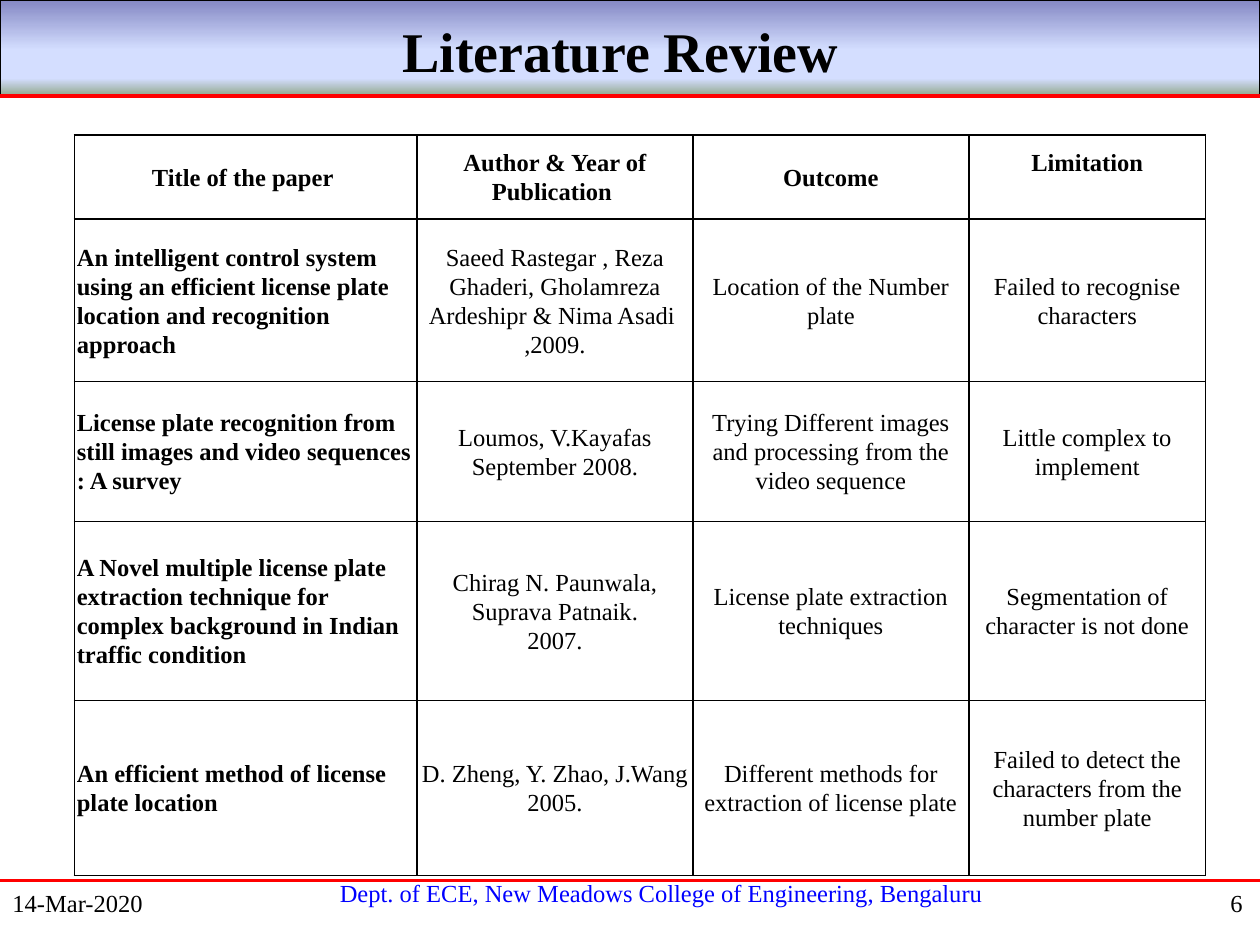
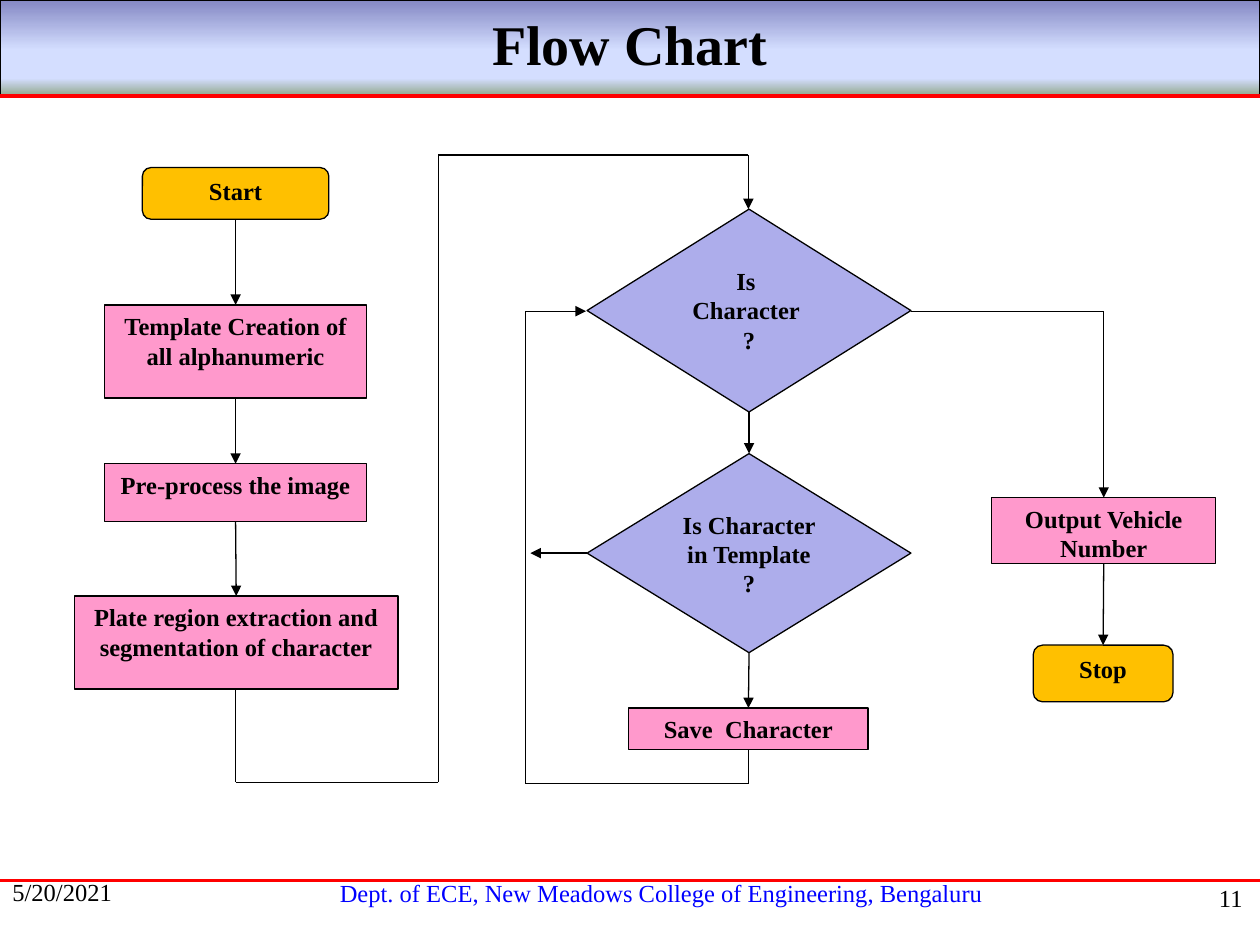
"""Builds a literature review table and a character recognition flow chart."""
from copy import deepcopy
from itertools import pairwise

from lxml.etree import SubElement
from pptx import Presentation
from pptx.dml.color import RGBColor
from pptx.enum.shapes import MSO_CONNECTOR, MSO_SHAPE
from pptx.enum.text import MSO_ANCHOR, PP_ALIGN
from pptx.oxml.ns import qn
from pptx.util import Inches, Pt

FONT = "Times New Roman"
BLACK = RGBColor(0x00, 0x00, 0x00)
WHITE = RGBColor(0xFF, 0xFF, 0xFF)
RED = RGBColor(0xFF, 0x00, 0x00)
BLUE = RGBColor(0x00, 0x00, 0xFF)
AMBER = RGBColor(0xFF, 0xC0, 0x00)
PINK = RGBColor(0xFF, 0x99, 0xCC)
LAVENDER = RGBColor(0xAD, 0xAD, 0xEB)
BAND_STOPS = [
    (0, RGBColor(0x84, 0x88, 0xC4)),
    (0.53, RGBColor(0xD4, 0xDE, 0xFF)),
    (0.83, RGBColor(0xD4, 0xDE, 0xFF)),
    (1, RGBColor(0x96, 0xAB, 0x94)),
]
FOOTER = "Dept. of ECE, New Meadows College of Engineering, Bengaluru"

COLUMN_WIDTHS = [2.72, 2.19, 2.19, 1.88]
ROW_HEIGHTS = [0.67, 1.29, 1.11, 1.42, 1.39]
PAPERS = [
    ["Title of the paper ", "Author & Year of Publication ", "Outcome", "Limitation"],
    ["An intelligent control system using an efficient license plate location and recognition approach",
     "Saeed Rastegar , Reza Ghaderi, Gholamreza Ardeshipr & Nima Asadi  ,2009.",
     "Location of the Number plate", "Failed to recognise characters"],
    ["License plate recognition from still images and video sequences : A survey",
     "Loumos, V.Kayafas\nSeptember 2008.",
     "Trying Different images and processing from the video sequence",
     "Little complex to implement"],
    ["A Novel multiple license plate extraction technique for complex background in Indian traffic condition",
     "Chirag N. Paunwala, Suprava Patnaik.\n2007.",
     "License plate extraction techniques", "Segmentation of character is not done"],
    ["An efficient method of license plate location",
     "D. Zheng, Y. Zhao, J.Wang\n2005.",
     "Different methods for extraction of license plate",
     "Failed to detect the characters from the number plate"],
]

TERMINAL = (MSO_SHAPE.ROUNDED_RECTANGLE, AMBER)
PROCESS = (MSO_SHAPE.RECTANGLE, PINK)
DECISION = (MSO_SHAPE.DIAMOND, LAVENDER)
STEPS = {
    "start": (TERMINAL, (1.13, 1.33, 1.48, 0.41), "Start"),
    "template": (PROCESS, (0.83, 2.42, 2.08, 0.74), "Template Creation of all alphanumeric"),
    "preprocess": (PROCESS, (0.83, 3.68, 2.08, 0.46), "Pre-process the image"),
    "extract": (PROCESS, (0.59, 4.73, 2.57, 0.74), "Plate region extraction and segmentation of character"),
    "is_character": (DECISION, (4.66, 1.66, 2.57, 1.61), "Is \nCharacter \n?"),
    "in_template": (DECISION, (4.66, 3.6, 2.57, 1.58), "Is Character in Template\n?"),
    "save": (PROCESS, (4.99, 5.62, 1.9, 0.33), "Save  Character"),
    "output": (PROCESS, (7.87, 3.95, 1.78, 0.52), "Output Vehicle Number"),
    "stop": (TERMINAL, (8.2, 5.12, 1.11, 0.45), "Stop"),
}
DOWNWARD_LINKS = [
    ("start", "template"), ("template", "preprocess"), ("preprocess", "extract"),
    ("is_character", "in_template"), ("in_template", "save"), ("output", "stop"),
]
ROUTES = [
    [(1.87, 5.47), (1.87, 6.21), (3.48, 6.21), (3.48, 1.23), (5.94, 1.23), (5.94, 1.66)],
    [(5.94, 5.95), (5.94, 6.22), (4.17, 6.22), (4.17, 2.47), (4.65, 2.47)],
    [(4.66, 4.39), (4.21, 4.39)],
    [(7.23, 2.47), (8.76, 2.47), (8.76, 3.95)],
]
BOTTOM_SITE, TOP_SITE = 2, 0


def write_text(frame, text, size=14, color=BLACK, bold=False, align=PP_ALIGN.CENTER, spacing=None):
    """Fill a text frame, one paragraph per line of text."""
    frame.word_wrap = True
    frame.text = text
    for paragraph in frame.paragraphs:
        paragraph.alignment = align
        paragraph.line_spacing = spacing
        for run in paragraph.runs:
            run.font.name = FONT
            run.font.size = Pt(size)
            run.font.bold = bold
            run.font.color.rgb = color


def add_label(slide, box, text, **text_format):
    """Add a text box."""
    shape = slide.shapes.add_textbox(*map(Inches, box))
    write_text(shape.text_frame, text, **text_format)


def add_box(slide, kind, box):
    """Add a preset shape with a thin black outline and no shadow."""
    shape = slide.shapes.add_shape(kind, *map(Inches, box))
    shape.shadow.inherit = False
    shape.line.color.rgb = BLACK
    shape.line.width = Pt(0.75)
    return shape


def add_line(slide, start, end, color=BLACK, width=0.75, arrow=False):
    """Add a straight connector, with an arrowhead at its end on request."""
    line = slide.shapes.add_connector(MSO_CONNECTOR.STRAIGHT, *map(Inches, (*start, *end)))
    line.line.color.rgb = color
    line.line.width = Pt(width)
    properties = line._element.spPr
    if arrow:
        SubElement(properties.find(qn("a:ln")), qn("a:tailEnd"), type="triangle")
    SubElement(properties, qn("a:effectLst"))
    return line


def add_band(slide):
    """Add the gradient band behind the title."""
    band = add_box(slide, MSO_SHAPE.RECTANGLE, (0, 0, 10, 0.75))
    band.fill.gradient()
    band.fill.gradient_angle = 270
    stop_list = band._element.spPr.find(qn("a:gradFill")).find(qn("a:gsLst"))
    while len(stop_list) < len(BAND_STOPS):
        stop_list.append(deepcopy(stop_list[0]))
    for stop, (position, color) in zip(band.fill.gradient_stops, BAND_STOPS):
        stop.position = position
        stop.color.rgb = color


def add_framed_slide(presentation, title, title_box, date, date_top, number, number_top):
    """Add a slide with the shared band, rules, title and footer."""
    slide = presentation.slides.add_slide(presentation.slide_layouts[6])
    add_band(slide)
    add_line(slide, (0, 0.76), (10, 0.76), color=RED, width=2.25)
    add_label(slide, (1.71, 6.92, 7.08, 0.33), FOOTER, color=BLUE)
    add_line(slide, (0, 6.99), (10, 6.99), color=RED, width=1.5)
    add_label(slide, title_box, title, size=32, bold=True)
    add_label(slide, (0, date_top, 2.08, 0.5), date, align=PP_ALIGN.LEFT)
    add_label(slide, (7.88, number_top, 2.08, 0.5), number, align=PP_ALIGN.RIGHT)
    return slide


def add_cell_borders(cell):
    """Draw a one-point black border on all four sides of a cell."""
    for side in ("lnL", "lnR", "lnT", "lnB"):
        border = SubElement(cell._tc.get_or_add_tcPr(), qn(f"a:{side}"), w=str(Pt(1)))
        fill = SubElement(border, qn("a:solidFill"))
        SubElement(fill, qn("a:srgbClr"), val=str(BLACK))


def add_paper_table(slide):
    """Add the table of reviewed papers."""
    table = slide.shapes.add_table(
        len(ROW_HEIGHTS), len(COLUMN_WIDTHS), Inches(0.59), Inches(1.07),
        Inches(sum(COLUMN_WIDTHS)), Inches(sum(ROW_HEIGHTS))).table
    table.first_row = table.horz_banding = False
    for column, width in zip(table.columns, COLUMN_WIDTHS):
        column.width = Inches(width)
    for row, height in zip(table.rows, ROW_HEIGHTS):
        row.height = Inches(height)
    for row_index, paper in enumerate(PAPERS):
        for column_index, text in enumerate(paper):
            cell = table.cell(row_index, column_index)
            is_header, is_title = row_index == 0, column_index == 0
            cell.vertical_anchor = MSO_ANCHOR.MIDDLE
            cell.margin_left = cell.margin_right = Inches(0.02)
            cell.margin_top = cell.margin_bottom = 0
            add_cell_borders(cell)
            cell.fill.solid()
            cell.fill.fore_color.rgb = WHITE
            write_text(cell.text_frame, text, bold=is_header or is_title, spacing=1.07,
                       align=PP_ALIGN.LEFT if is_title and not is_header else PP_ALIGN.CENTER)
    table.cell(0, len(COLUMN_WIDTHS) - 1).margin_bottom = Inches(0.23)


def add_flow_chart(slide):
    """Add the steps, the glued downward arrows and the routed arrows."""
    shapes = {}
    for name, ((kind, color), box, text) in STEPS.items():
        shape = shapes[name] = add_box(slide, kind, box)
        shape.fill.solid()
        shape.fill.fore_color.rgb = color
        write_text(shape.text_frame, text, bold=True)
        shape.text_frame.vertical_anchor = MSO_ANCHOR.TOP
    for source, target in DOWNWARD_LINKS:
        link = add_line(slide, (0, 0), (1, 1), arrow=True)
        link.begin_connect(shapes[source], BOTTOM_SITE)
        link.end_connect(shapes[target], TOP_SITE)
    for route in ROUTES:
        for start, end in pairwise(route):
            add_line(slide, start, end, arrow=end == route[-1])


def main():
    """Build and save the two slides."""
    presentation = Presentation()
    presentation.slide_width = Inches(10)
    presentation.slide_height = Inches(7.5)
    review = add_framed_slide(presentation, "Literature Review ", (0, 0.08, 9.96, 0.64),
                              "14-Mar-2020", 7, "6", 7)
    add_paper_table(review)
    flow = add_framed_slide(presentation, "Flow Chart", (0, 0.03, 10, 0.64),
                            "5/20/2021", 6.91, "11", 6.96)
    add_flow_chart(flow)
    presentation.save("out.pptx")


if __name__ == "__main__":
    main()
